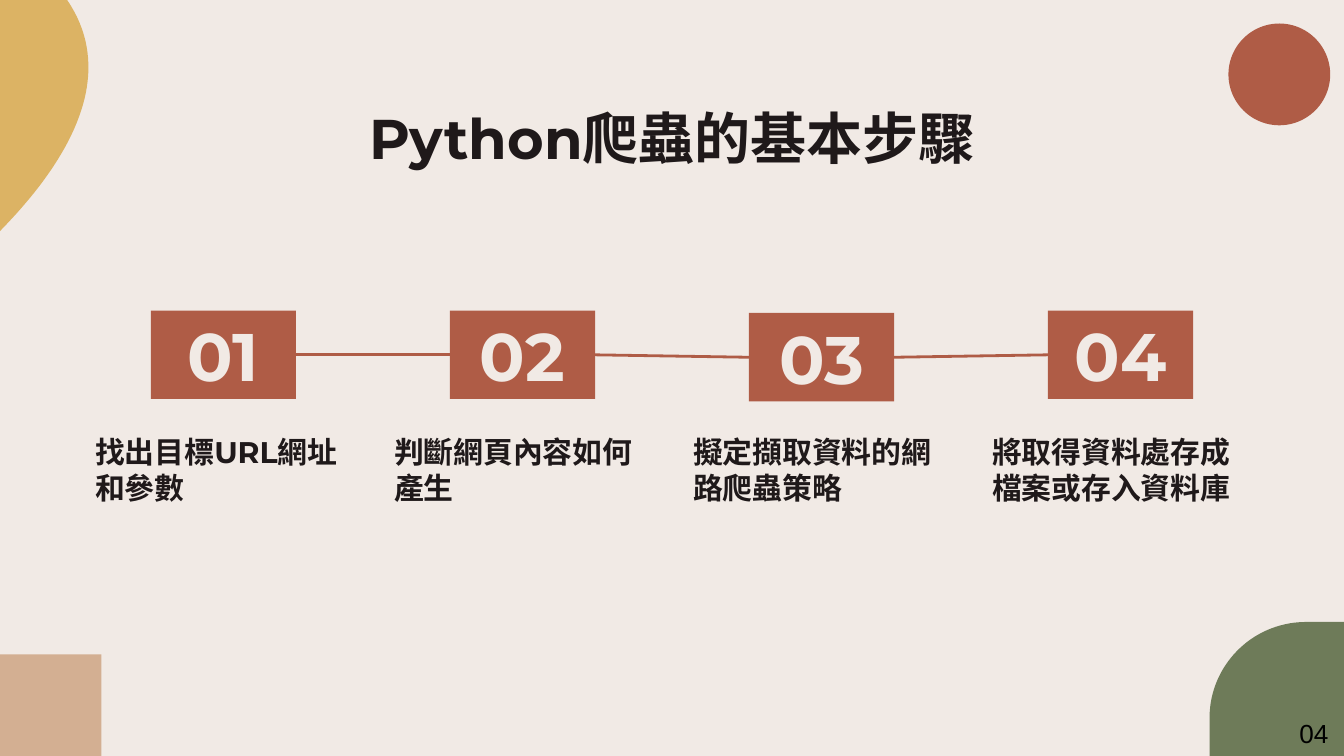
from pptx import Presentation
from pptx.dml.color import RGBColor
from pptx.enum.shapes import MSO_CONNECTOR, MSO_SHAPE
from pptx.enum.text import MSO_ANCHOR, MSO_AUTO_SIZE, PP_ALIGN
from pptx.oxml.ns import qn
from pptx.util import Pt
from lxml.etree import SubElement

CREAM = RGBColor(0xF1, 0xEA, 0xE5)
INK = RGBColor(0x1F, 0x19, 0x1A)
RUST = RGBColor(0xAF, 0x5C, 0x46)
GREEN = RGBColor(0x6E, 0x7B, 0x59)
TAN = RGBColor(0xD3, 0xAF, 0x92)
GOLD = RGBColor(0xDC, 0xB3, 0x64)
BLACK = RGBColor(0, 0, 0)

STEPS = ["找出目標URL網址和參數", "判斷網頁內容如何產生",
         "擬定擷取資料的網路爬蟲策略", "將取得資料處存成檔案或存入資料庫"]
BOX_TOPS = [166.4, 166.4, 167.7, 166.4]
BOX_W, BOX_H = 77.8, 47.4
FIRST_LEFT, STEP_PITCH = 80.8, 160.2


def set_text(sp, text, size=16, font="Montserrat", color=INK, bold=True,
             align=PP_ALIGN.LEFT, anchor=MSO_ANCHOR.TOP, inset=7.2):
    """Put one formatted run of text into a shape."""
    tf = sp.text_frame
    tf.word_wrap = True
    tf.auto_size = MSO_AUTO_SIZE.NONE
    tf.vertical_anchor = anchor
    tf.margin_left = tf.margin_right = Pt(7.2)
    tf.margin_top = tf.margin_bottom = Pt(inset)
    p = tf.paragraphs[0]
    p.alignment = align
    r = p.add_run()
    r.text = text
    r.font.name, r.font.size, r.font.bold = font, Pt(size), bold
    r.font.color.rgb = color


def paint(sp, color):
    """Give a shape a flat fill without line or shadow."""
    sp.shadow.inherit = False
    sp.fill.solid()
    sp.fill.fore_color.rgb = color
    sp.line.fill.background()


def add_block(s, kind, left, top, width, height, color):
    """Add a flat preset shape."""
    sp = s.shapes.add_shape(kind, Pt(left), Pt(top), Pt(width), Pt(height))
    paint(sp, color)
    return sp


def add_label(s, left, top, width, height, text, **fmt):
    """Add a text box."""
    sp = s.shapes.add_textbox(Pt(left), Pt(top), Pt(width), Pt(height))
    set_text(sp, text, **fmt)


def bezier(p0, p1, p2, p3, n=40):
    """Return points along a cubic curve."""
    return [tuple((1 - t) ** 3 * a + 3 * (1 - t) ** 2 * t * b
                  + 3 * (1 - t) * t ** 2 * c + t ** 3 * d
                  for a, b, c, d in zip(p0, p1, p2, p3))
            for t in (i / n for i in range(n + 1))]


def add_outline(s, points, color):
    """Add a closed flat outline."""
    pts = [(Pt(x), Pt(y)) for x, y in points]
    fb = s.shapes.build_freeform(*pts[0])
    fb.add_line_segments(pts[1:], close=True)
    paint(fb.convert_to_shape(), color)


def add_link(s, x1, y1, x2, y2):
    """Add a plain line between two steps."""
    ln = s.shapes.add_connector(MSO_CONNECTOR.STRAIGHT,
                                Pt(x1), Pt(y1), Pt(x2), Pt(y2))
    ln.line.color.rgb = RUST
    ln.line.width = Pt(1.5)
    SubElement(ln._element.spPr, qn("a:effectLst"))


def add_decoration(s):
    """Add the coloured shapes in the four corners."""
    corner = bezier((699.8, 333.2), (671, 333.2), (648, 356.4), (648, 384.7))
    add_outline(s, corner + [(648, 405), (720, 405), (720, 333.2)], GREEN)
    add_block(s, MSO_SHAPE.RECTANGLE, 0, 350.5, 54.4, 54.5, TAN)
    add_block(s, MSO_SHAPE.OVAL, 658.1, 12.6, 54.5, 54.5, RUST)
    leaf = bezier((36, 0), (63.4, 40.3), (37.4, 85.7), (0, 123.8))
    add_outline(s, leaf + [(0, 0)], GOLD)


def add_steps(s):
    """Add numbered boxes, the links between them and their captions."""
    lefts = [FIRST_LEFT + i * STEP_PITCH for i in range(len(STEPS))]
    mids = [top + BOX_H / 2 for top in BOX_TOPS]
    for i, (left, top, caption) in enumerate(zip(lefts, BOX_TOPS, STEPS)):
        if i:
            add_link(s, lefts[i - 1] + BOX_W, mids[i - 1], left, mids[i])
        sp = add_block(s, MSO_SHAPE.RECTANGLE, left, top, BOX_W, BOX_H, RUST)
        set_text(sp, f"{i + 1:02}", size=36, color=CREAM,
                 align=PP_ALIGN.CENTER, anchor=MSO_ANCHOR.MIDDLE)
        add_label(s, left - 36.9, 230.4, 151.2, 47.5, caption,
                  anchor=MSO_ANCHOR.BOTTOM)


def main():
    """Build the slide and save it."""
    prs = Presentation()
    prs.slide_width, prs.slide_height = Pt(720), Pt(405)
    s = prs.slides.add_slide(prs.slide_layouts[5])
    s.background.fill.solid()
    s.background.fill.fore_color.rgb = CREAM
    add_decoration(s)
    title = s.shapes.title
    title.left, title.top = Pt(56.7), Pt(48.2)
    title.width, title.height = Pt(606.6), Pt(37.4)
    set_text(title, "Python爬蟲的基本步驟", size=30, align=PP_ALIGN.CENTER)
    add_label(s, 689, 380.9, 31, 24.1, "04", size=14, font="Arial",
              color=BLACK, bold=False, inset=3.6)
    add_steps(s)
    prs.save("out.pptx")


main()
